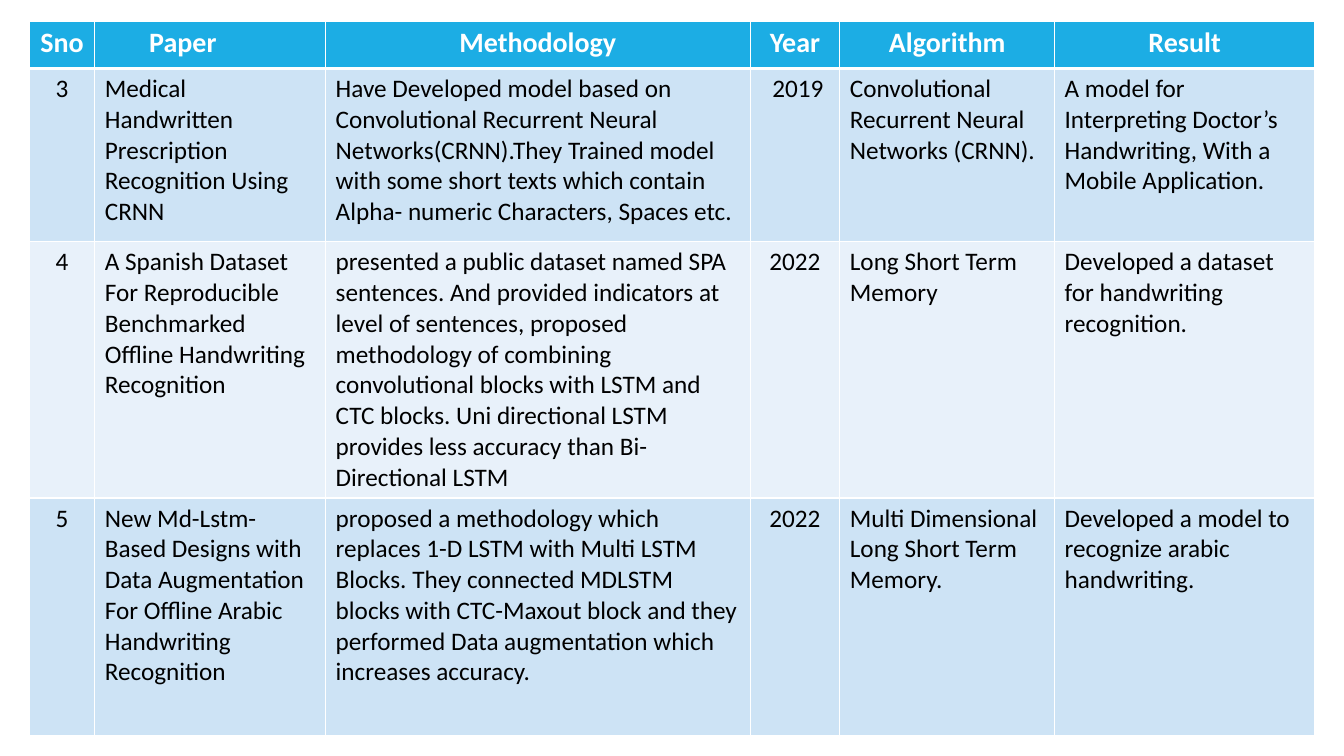
from pptx import Presentation
from pptx.dml.color import RGBColor
from pptx.enum.text import PP_ALIGN
from pptx.oxml import parse_xml
from pptx.oxml.ns import nsdecls
from pptx.util import Inches, Pt

COLORS = {"header": "1CADE4", "dark_band": "CDE3F5", "light_band": "E8F1FA",
          "border": "FFFFFF", "header_text": "FFFFFF", "body_text": "000000"}
FONT = "Calibri"
COLUMN_WIDTHS = [0.65, 2.29, 4.21, 0.89, 2.13, 2.58]
ROW_HEIGHTS = [0.47, 1.72, 2.28, 2.36]
CENTERED_BODY_COLUMNS = {0, 3}
PAPER_COLUMN = 1
PAPER_HEADER_MARGIN = 0.54

HEADINGS = ["Sno", "Paper", "Methodology", "Year", "Algorithm", "Result"]
STUDIES = [
    ["3",
     "Medical Handwritten Prescription Recognition Using CRNN",
     "Have Developed model based on Convolutional Recurrent Neural "
     "Networks(CRNN).They Trained model with some short texts which contain "
     "Alpha- numeric Characters, Spaces etc.",
     " 2019",
     "Convolutional Recurrent Neural Networks (CRNN).",
     "A model for Interpreting Doctor’s Handwriting, With a Mobile Application."],
    ["4",
     "A Spanish Dataset For Reproducible Benchmarked Offline Handwriting Recognition",
     "presented a public dataset named SPA sentences. And provided indicators at "
     "level of sentences, proposed methodology of combining convolutional blocks "
     "with LSTM and CTC blocks. Uni directional LSTM provides less accuracy than "
     "Bi-Directional LSTM",
     "2022",
     "Long Short Term Memory",
     "Developed a dataset for handwriting recognition."],
    ["5",
     "New Md-Lstm-Based Designs with Data Augmentation For Offline Arabic "
     "Handwriting Recognition",
     "proposed a methodology which replaces 1-D LSTM with Multi LSTM Blocks. They "
     "connected MDLSTM blocks with CTC-Maxout block and they performed Data "
     "augmentation which increases accuracy.",
     "2022",
     "Multi Dimensional Long Short Term Memory.",
     "Developed a model to recognize arabic handwriting."],
]


def set_borders(cell, top, bottom):
    """Draw the four cell borders; top and bottom are widths in points."""
    properties = cell._tc.get_or_add_tcPr()
    for side, width in (("L", 1), ("R", 1), ("T", top), ("B", bottom)):
        properties.append(parse_xml(
            f'<a:ln{side} {nsdecls("a")} w="{Pt(width)}"><a:solidFill>'
            f'<a:srgbClr val="{COLORS["border"]}"/></a:solidFill></a:ln{side}>'))


def fill_cell(cell, text, fill, text_color, size, bold, centered):
    cell.fill.solid()
    cell.fill.fore_color.rgb = RGBColor.from_string(COLORS[fill])
    cell.text_frame.text = text
    para = cell.text_frame.paragraphs[0]
    para.alignment = PP_ALIGN.CENTER if centered else PP_ALIGN.LEFT
    font = para.runs[0].font
    font.name, font.size, font.bold = FONT, Pt(size), bold
    font.color.rgb = RGBColor.from_string(COLORS[text_color])


def add_study_table(slide):
    rows = [HEADINGS] + STUDIES
    table = slide.shapes.add_table(
        len(rows), len(HEADINGS), Inches(0.29), Inches(0.21),
        Inches(sum(COLUMN_WIDTHS)), Inches(sum(ROW_HEIGHTS))).table
    for column, width in zip(table.columns, COLUMN_WIDTHS):
        column.width = Inches(width)
    for row, height in zip(table.rows, ROW_HEIGHTS):
        row.height = Inches(height)
    for row_index, texts in enumerate(rows):
        for column_index, text in enumerate(texts):
            cell = table.cell(row_index, column_index)
            set_borders(cell, 3 if row_index == 1 else 1, 3 if row_index == 0 else 1)
            if row_index == 0:
                fill_cell(cell, text, "header", "header_text", 20, True,
                          column_index != PAPER_COLUMN)
            else:
                band = "dark_band" if row_index % 2 else "light_band"
                fill_cell(cell, text, band, "body_text", 18, False,
                          column_index in CENTERED_BODY_COLUMNS)
    table.cell(0, PAPER_COLUMN).margin_left = Inches(PAPER_HEADER_MARGIN)


def main():
    deck = Presentation()
    deck.slide_width, deck.slide_height = Inches(13.33), Inches(7.5)
    slide = deck.slides.add_slide(deck.slide_layouts[6])
    add_study_table(slide)
    deck.save("out.pptx")


if __name__ == "__main__":
    main()
